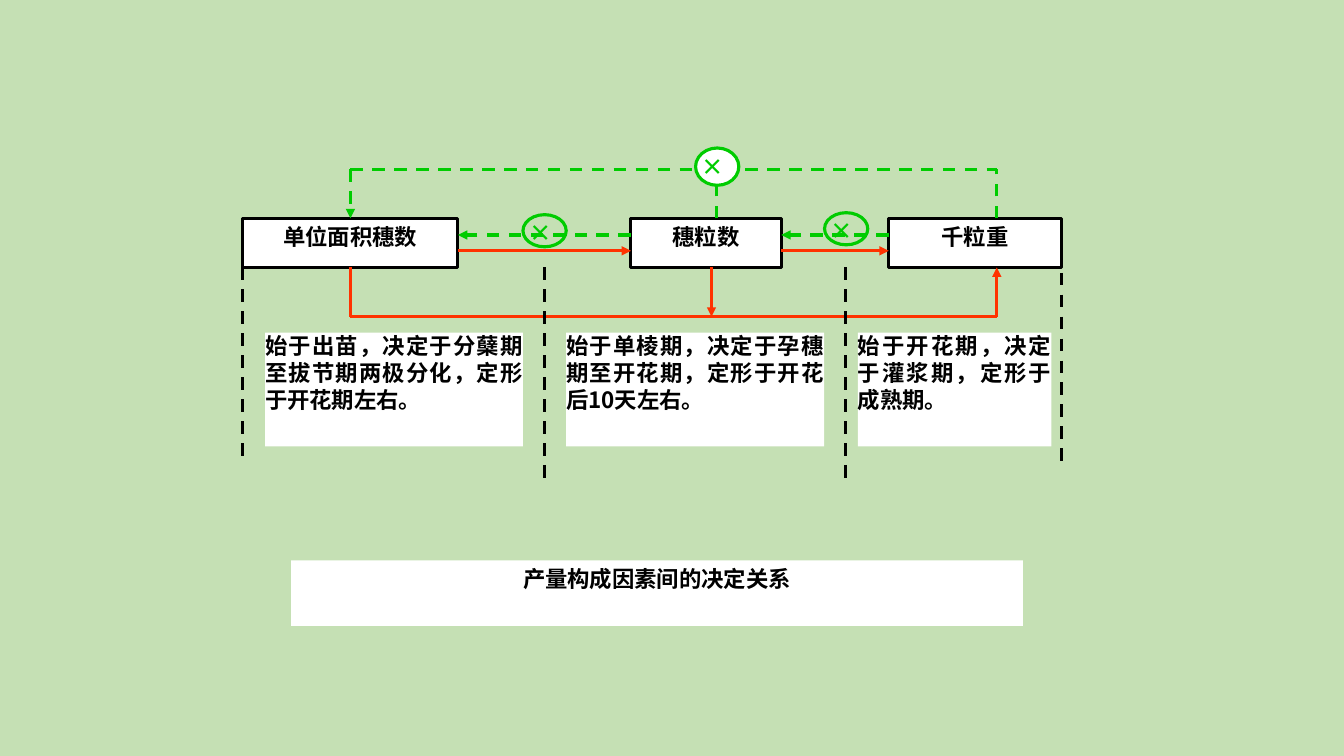
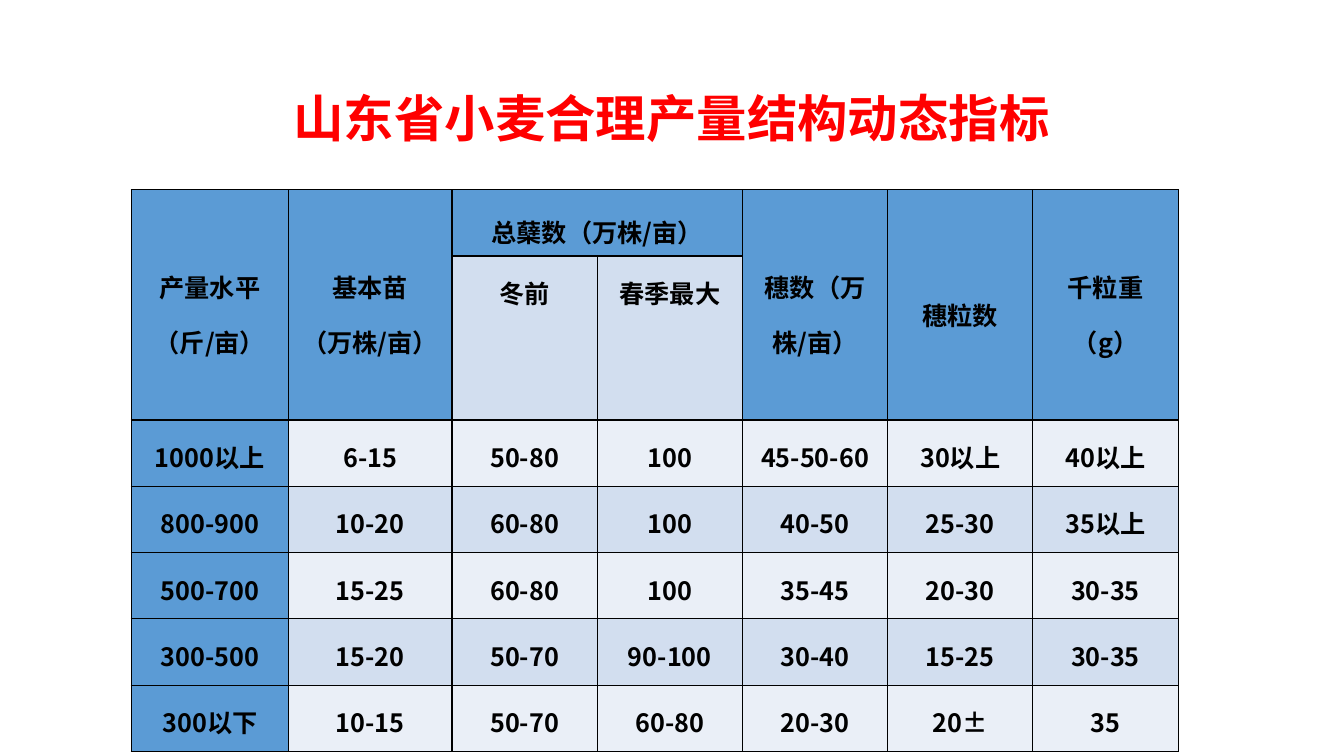
from lxml.etree import SubElement
from pptx import Presentation
from pptx.dml.color import RGBColor
from pptx.enum.dml import MSO_LINE
from pptx.enum.shapes import MSO_CONNECTOR, MSO_SHAPE
from pptx.enum.text import MSO_ANCHOR, PP_ALIGN
from pptx.oxml import parse_xml
from pptx.oxml.ns import nsdecls, qn
from pptx.util import Cm, Pt

rgb = RGBColor.from_string
FONT = "Noto Sans CJK SC"
BLACK, WHITE, RED, GREEN = "000000", "FFFFFF", "FF3300", "00CC00"
TITLE_RED, PALE_GREEN = "FF0000", "C5E0B4"
HEADER_BLUE, MID_BLUE, LIGHT_BLUE = "5B9BD5", "D2DEEF", "EAEFF7"
CENTER, JUSTIFY = PP_ALIGN.CENTER, PP_ALIGN.JUSTIFY


def write_text(frame, text, size, colour=BLACK, align=CENTER, spacing=None):
    frame.text = text
    frame.word_wrap = True
    for paragraph in frame.paragraphs:
        paragraph.alignment = align
        paragraph.line_spacing = spacing
        for run in paragraph.runs:
            run.font.size = Pt(size)
            run.font.bold = True
            run.font.color.rgb = rgb(colour)
            run.font.name = FONT
            SubElement(run._r.get_or_add_rPr(), qn("a:ea")).set("typeface", FONT)


def add_box(slide, kind, place, text, fill=WHITE, line=None,
            colour=BLACK, align=CENTER):
    box = slide.shapes.add_shape(kind, *[Cm(value) for value in place])
    box.shadow.inherit = False
    if fill:
        box.fill.solid()
        box.fill.fore_color.rgb = rgb(fill)
    else:
        box.fill.background()
    if line:
        box.line.color.rgb = rgb(line)
        box.line.width = Pt(2.25)
    else:
        box.line.fill.background()
    frame = box.text_frame
    frame.vertical_anchor = MSO_ANCHOR.TOP
    if align == JUSTIFY:
        frame.margin_left = frame.margin_right = 0
        frame.margin_top = frame.margin_bottom = 0
    write_text(frame, text, 16, colour, align)
    return box


prs = Presentation()
prs.slide_width, prs.slide_height = Cm(33.87), Cm(19.05)
blank = prs.slide_layouts[6]

relations = prs.slides.add_slide(blank)
relations.background.fill.solid()
relations.background.fill.fore_color.rgb = rgb(PALE_GREEN)

factor_top, factor_height = 5.5, 1.24
factor_bottom = factor_top + factor_height
ears, grains, weight = [
    add_box(relations, MSO_SHAPE.RECTANGLE,
            (left, factor_top, width, factor_height), text, line=BLACK)
    for left, width, text in [
        (6.12, 5.42, "单位面积穗数"),
        (15.9, 3.79, "穗粒数"),
        (22.4, 4.35, "千粒重"),
    ]
]

ears_x, weight_x = 8.83, 25.12
feedback_y, forward_y = 5.92, 6.32
upper_y, lower_y = 4.27, 7.98
links = [
    (18.06, factor_top, 18.06, upper_y, GREEN, True, True),
    (11.54, forward_y, 15.9, forward_y, RED, False, True),
    (19.69, forward_y, 22.4, forward_y, RED, False, True),
    (ears_x, factor_bottom, ears_x, lower_y, RED, False, False),
    (ears_x, lower_y, weight_x, lower_y, RED, False, False),
    (weight_x, lower_y, weight_x, factor_bottom, RED, False, True),
    (17.93, factor_bottom, 17.93, lower_y, RED, False, True),
    (ears_x, upper_y, weight_x, upper_y, GREEN, True, False),
    (weight_x, factor_top, weight_x, upper_y, GREEN, True, False),
    (ears_x, upper_y, ears_x, factor_top, GREEN, True, True),
    (22.4, feedback_y, 19.69, feedback_y, GREEN, True, True),
    (15.9, feedback_y, 11.54, feedback_y, GREEN, True, True),
    (6.12, factor_bottom, 6.12, 11.68, BLACK, True, False),
    (13.72, factor_bottom, 13.72, 12.09, BLACK, True, False),
    (21.31, factor_bottom, 21.31, 12.09, BLACK, True, False),
    (26.75, forward_y, 26.75, 11.68, BLACK, True, False),
]
for x1, y1, x2, y2, colour, dashed, arrow in links:
    link = relations.shapes.add_connector(
        MSO_CONNECTOR.STRAIGHT, Cm(x1), Cm(y1), Cm(x2), Cm(y2))
    link.line.color.rgb = rgb(colour)
    link.line.width = Pt(2.25)
    if dashed:
        link.line.dash_style = MSO_LINE.DASH
    if arrow:
        SubElement(link.line._get_or_add_ln(), qn("a:tailEnd")).set("type", "triangle")
    SubElement(link._element.spPr, qn("a:effectLst"))
    if (x1, y1) == (ears_x, factor_bottom):
        link.begin_connect(ears, 2)
    if (x2, y2) == (ears_x, factor_top):
        link.end_connect(ears, 0)

for left, top, height, fill in [
    (17.53, 3.73, 0.94, WHITE),
    (20.78, 5.36, 0.81, None),
    (13.18, 5.41, 0.81, None),
]:
    add_box(relations, MSO_SHAPE.OVAL, (left, top, 1.09, height), "×",
            fill, GREEN, GREEN, JUSTIFY)

for left, width, text in [
    (6.68, 6.5, "始于出苗，决定于分蘖期至拔节期两极分化，定形于开花期左右。"),
    (14.27, 6.5, "始于单棱期，决定于孕穗期至开花期，定形于开花后10天左右。"),
    (21.62, 4.88, "始于开花期，决定于灌浆期，定形于成熟期。"),
]:
    add_box(relations, MSO_SHAPE.RECTANGLE, (left, 8.38, width, 2.87), text,
            align=JUSTIFY)
add_box(relations, MSO_SHAPE.RECTANGLE, (7.34, 14.12, 18.44, 1.65),
        "产量构成因素间的决定关系")

indicators = prs.slides.add_slide(blank)
rows = [
    ["产量水平（斤/亩）", "基本苗\n（万株/亩）", "总蘖数（万株/亩）", "",
     "穗数（万株/亩）", "穗粒数", "千粒重（g）"],
    ["", "", "冬前", "春季最大", "", "", ""],
    ["1000以上", "6-15", "50-80", "100", "45-50-60", "30以上", "40以上"],
    ["800-900", "10-20", "60-80", "100", "40-50", "25-30", "35以上"],
    ["500-700", "15-25", "60-80", "100", "35-45", "20-30", "30-35"],
    ["300-500", "15-20", "50-70", "90-100", "30-40", "15-25", "30-35"],
    ["300以下", "10-15", "50-70", "60-80", "20-30", "20±", "35"],
]
column_widths = [3.96, 4.12] + [3.66] * 5
row_height = 1.67
table = indicators.shapes.add_table(
    len(rows), len(column_widths), Cm(3.31), Cm(4.78),
    Cm(sum(column_widths)), Cm(row_height * len(rows))).table
for column, width in zip(table.columns, column_widths):
    column.width = Cm(width)
for r, row in enumerate(rows):
    table.rows[r].height = Cm(row_height)
    for c, text in enumerate(row):
        cell = table.cell(r, c)
        if r == 0 or c == 0 or (r == 1 and not text):
            fill = HEADER_BLUE
        else:
            fill = MID_BLUE if r % 2 else LIGHT_BLUE
        cell.fill.solid()
        cell.fill.fore_color.rgb = rgb(fill)
        cell.margin_left = cell.margin_right = Cm(0.2)
        cell.margin_top = cell.margin_bottom = 0
        cell.vertical_anchor = MSO_ANCHOR.MIDDLE if r == 0 else MSO_ANCHOR.TOP
        if text:
            write_text(cell.text_frame, text, 18, spacing=1.5)
        for position, side in enumerate(["lnL", "lnR", "lnT", "lnB"]):
            cell._tc.get_or_add_tcPr().insert(position, parse_xml(
                f'<a:{side} {nsdecls("a")} w="12700"><a:solidFill>'
                f'<a:srgbClr val="{BLACK}"/></a:solidFill></a:{side}>'))
table.cell(0, 2).merge(table.cell(0, 3))
for c in (0, 1, 4, 5, 6):
    table.cell(0, c).merge(table.cell(1, c))

title = indicators.shapes.add_textbox(Cm(6.88), Cm(2.06), Cm(20.09), Cm(1.8))
title.text_frame.vertical_anchor = MSO_ANCHOR.MIDDLE
write_text(title.text_frame, "山东省小麦合理产量结构动态指标", 36, TITLE_RED)

prs.save("out.pptx")
